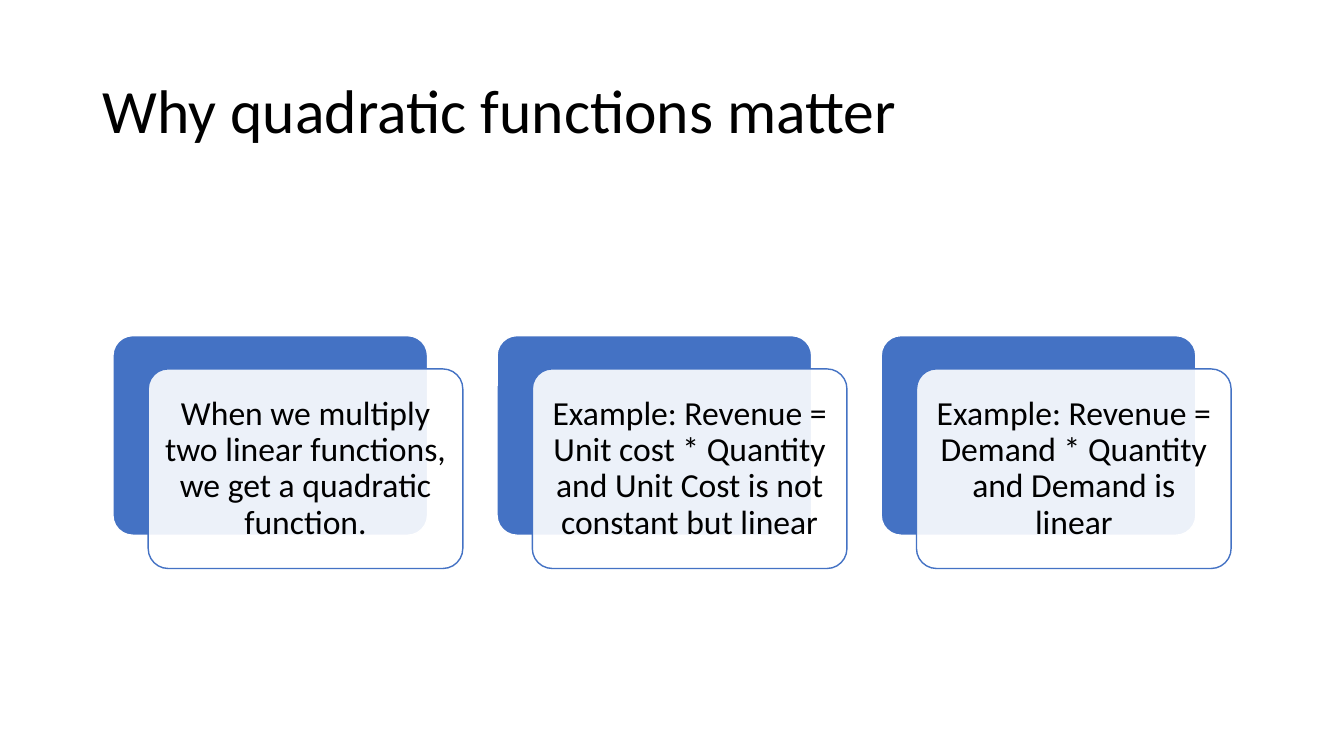
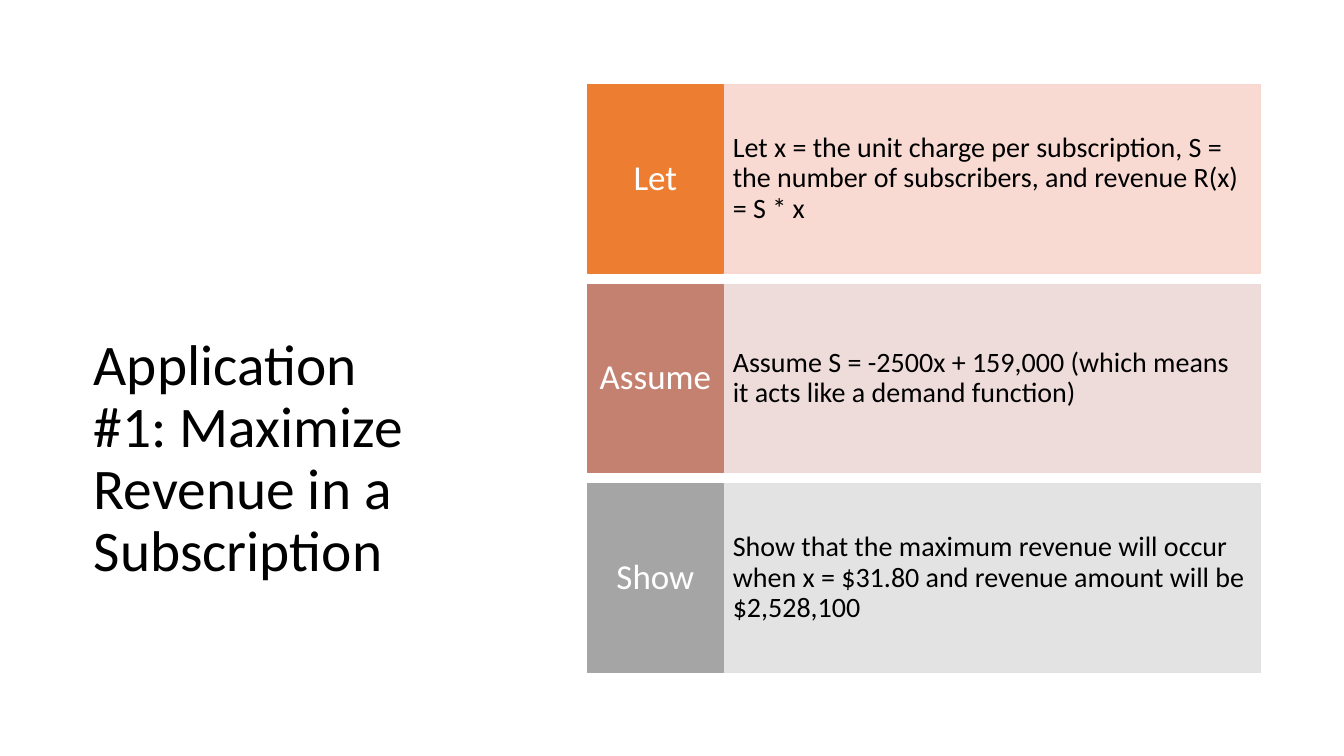
from pptx import Presentation
from pptx.dml.color import RGBColor
from pptx.enum.shapes import MSO_SHAPE
from pptx.enum.text import MSO_ANCHOR, MSO_AUTO_SIZE, PP_ALIGN
from pptx.oxml.ns import qn
from pptx.util import Pt
from lxml import etree

EMU_PER_PX = 9144  # 100 px to the inch
FONT = "Calibri"
TITLE_ONLY = 5

BLACK = RGBColor(0x00, 0x00, 0x00)
WHITE = RGBColor(0xFF, 0xFF, 0xFF)
BLUE = RGBColor(0x44, 0x72, 0xC4)
ORANGE = RGBColor(0xED, 0x7D, 0x31)
PALE_ORANGE = RGBColor(0xF8, 0xD7, 0xCE)
CLAY = RGBColor(0xC4, 0x81, 0x70)
PALE_CLAY = RGBColor(0xED, 0xD9, 0xD7)
GRAY = RGBColor(0xA5, 0xA5, 0xA5)
PALE_GRAY = RGBColor(0xE1, 0xE1, 0xE1)

CARDS = [
    "When we multiply two linear functions, we get a quadratic function.",
    "Example: Revenue = Unit cost * Quantity and Unit Cost is not constant but linear",
    "Example: Revenue = Demand * Quantity and Demand is linear",
]
STEPS = [
    ("Let", ORANGE, PALE_ORANGE,
     "Let x = the unit charge per subscription, S = the number of subscribers, "
     "and revenue R(x) = S * x"),
    ("Assume", CLAY, PALE_CLAY,
     "Assume S = -2500x + 159,000 (which means it acts like a demand function)"),
    ("Show", GRAY, PALE_GRAY,
     "Show that the maximum revenue will occur when x = $31.80 "
     "and revenue amount will be $2,528,100"),
]


def px(length):
    return length * EMU_PER_PX


def set_opacity(color_format, percent):
    color = color_format._xFill.find(qn("a:srgbClr"))
    etree.SubElement(color, qn("a:alpha")).set("val", str(percent * 1000))


def write_text(shape, text, size, color=BLACK, align=PP_ALIGN.LEFT,
               anchor=MSO_ANCHOR.MIDDLE, margins=(10, 5)):
    frame = shape.text_frame
    frame.text = text
    frame.word_wrap = True
    frame.auto_size = MSO_AUTO_SIZE.NONE
    frame.vertical_anchor = anchor
    frame.margin_left = frame.margin_right = px(margins[0])
    frame.margin_top = frame.margin_bottom = px(margins[1])
    para = frame.paragraphs[0]
    para.alignment = align
    para.line_spacing = 0.9
    span = para.runs[0]
    span.font.name = FONT
    span.font.size = Pt(size)
    span.font.color.rgb = color


def add_panel(page, kind, place, fill, line, opacity=None):
    panel = page.shapes.add_shape(kind, *map(px, place))
    panel.shadow.inherit = False
    panel.fill.solid()
    panel.fill.fore_color.rgb = fill
    panel.line.color.rgb = line
    panel.line.width = Pt(1)
    if kind == MSO_SHAPE.ROUNDED_RECTANGLE:
        panel.adjustments[0] = 0.1
    if opacity:
        set_opacity(panel.fill.fore_color, opacity)
    return panel


def add_page(deck, title, place, size, anchor):
    page = deck.slides.add_slide(deck.slide_layouts[TITLE_ONLY])
    box = page.shapes.title
    box.left, box.top, box.width, box.height = map(px, place)
    write_text(box, title, size, anchor=anchor)
    return page


def add_card(page, left, top, text):
    width, height = 312, 198
    rounded = MSO_SHAPE.ROUNDED_RECTANGLE
    add_panel(page, rounded, (left, top, width, height), BLUE, WHITE)
    front = add_panel(page, rounded, (left + 35, top + 33, width, height),
                      WHITE, BLUE, opacity=90)
    write_text(front, text, 24, align=PP_ALIGN.CENTER, margins=(10, 10))


def add_step(page, top, label, strong, pale, text):
    left, label_width, text_width, height = 583, 134, 533, 187
    detail = add_panel(page, MSO_SHAPE.RECTANGLE,
                       (left + label_width, top, text_width, height),
                       pale, pale, opacity=90)
    write_text(detail, text, 20, margins=(10, 47))
    tag = add_panel(page, MSO_SHAPE.RECTANGLE,
                    (left, top, label_width, height), strong, strong)
    write_text(tag, label, 25, WHITE, PP_ALIGN.CENTER, margins=(7, 18))


def main():
    deck = Presentation()
    deck.slide_width, deck.slide_height = px(1333), px(750)

    # Three layered cards in a row
    page = add_page(deck, "Why quadratic functions matter",
                    (92, 40, 1150, 145), 44, MSO_ANCHOR.MIDDLE)
    for index, text in enumerate(CARDS):
        add_card(page, 112 + index * 381, 333, text)

    # Three labelled steps in a column
    page = add_page(deck, "Application #1: Maximize Revenue in a Subscription",
                    (83, 167, 333, 417), 41, MSO_ANCHOR.BOTTOM)
    for index, step in enumerate(STEPS):
        add_step(page, 84 + index * 198, *step)

    deck.save("out.pptx")


if __name__ == "__main__":
    main()
